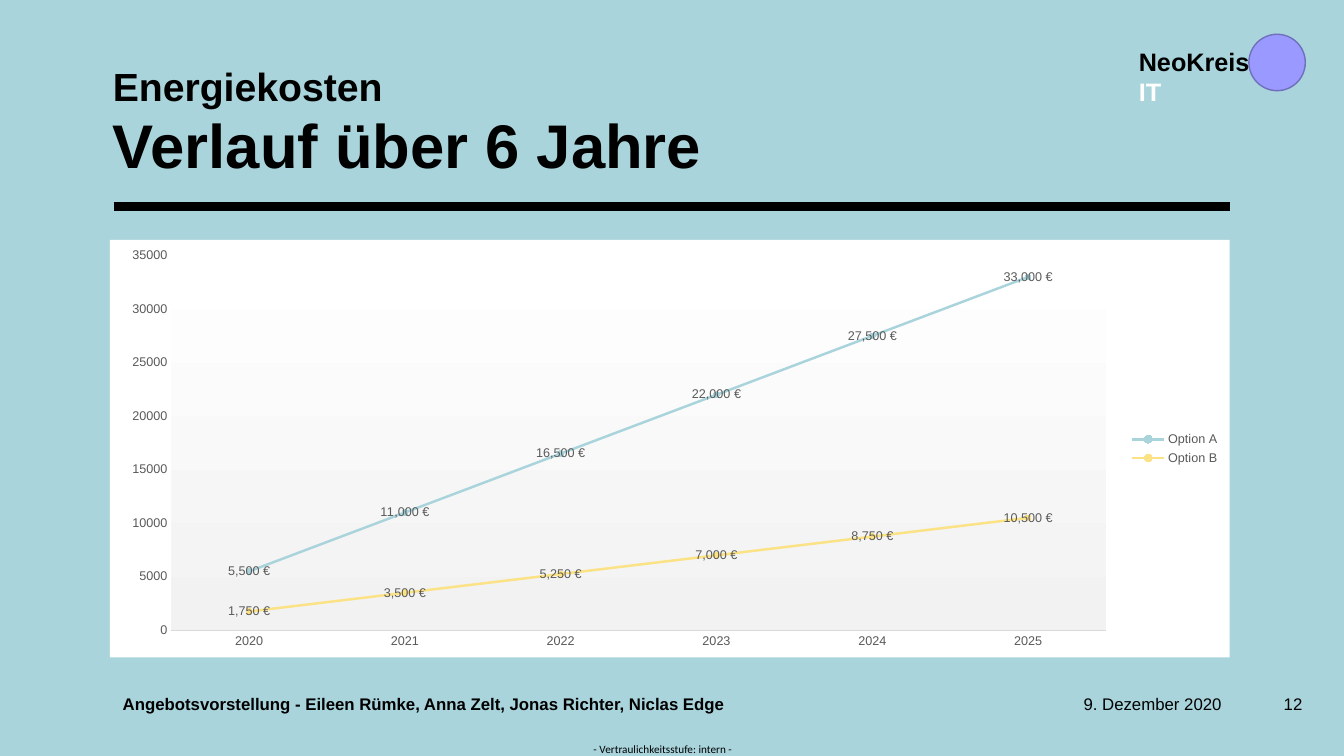
import pptx
import pptx.chart.data
import pptx.dml.color
import pptx.enum.chart
import pptx.enum.shapes
import pptx.enum.text
import pptx.oxml
import pptx.oxml.ns
import pptx.util

Pt = pptx.util.Pt
Align = pptx.enum.text.PP_ALIGN
Anchor = pptx.enum.text.MSO_ANCHOR

BLACK, WHITE, GREY = "000000", "FFFFFF", "595959"
BACKGROUND, PANEL = "A9D4DC", "A9D4DB"
BREAK = "\n"

TITLE = [("Energiekosten", {"size": 28}), (" ", {"size": 44}), BREAK,
         ("Verlauf über 6 Jahre", {"size": 44})]
DEFAULT_INSETS = (7.2, 3.6, 7.2, 3.6)
FOOTER_TOP, FOOTER_HEIGHT = 495.4, 14.4

# spans, (left, top, width, height), insets, anchor, alignment
TEXTS = [
    ([("- Vertraulichkeitsstufe: intern - ", {"size": 8, "name": "Calibri"})],
     (422.6, 530.6, 103.7, 9.4), (0, 0, 0, 0), Anchor.TOP, Align.CENTER),
    ([("9. Dezember 2020", {"size": 12})],
     (774, FOOTER_TOP, 120.2, FOOTER_HEIGHT), (0, 3.6, 0, 3.6), Anchor.MIDDLE, Align.LEFT),
    ([("Angebotsvorstellung - Eileen Rümke, Anna Zelt, Jonas Richter, Niclas Edge",
       {"size": 12, "bold": True})],
     (80.6, FOOTER_TOP, 687.6, FOOTER_HEIGHT), DEFAULT_INSETS, Anchor.MIDDLE, Align.LEFT),
    ([("12", {"size": 12})],
     (905, FOOTER_TOP, 32.4, FOOTER_HEIGHT), DEFAULT_INSETS, Anchor.MIDDLE, Align.RIGHT),
    ([("NeoKreis", {"size": 18, "bold": True}), BREAK,
      ("IT", {"size": 18, "bold": True, "color": WHITE})],
     (806.4, 29.5, 113, 28.8), DEFAULT_INSETS, Anchor.TOP, Align.LEFT),
]

YEARS = ["2020", "2021", "2022", "2023", "2024", "2025"]
OPTIONS = [
    ("Option A", "A9D4DB", [5500, 11000, 16500, 22000, 27500, 33000]),
    ("Option B", "FBE284", [1750, 3500, 5250, 7000, 8750, 10500]),
]
CHART_AREA = (78.5, 171.4, 799.9, 298.1)
EURO_FORMAT = '#,##0\\ "€"'


def rgb(value):
    return pptx.dml.color.RGBColor.from_string(value)


def points(values):
    return [Pt(value) for value in values]


def paint(fill, color):
    fill.solid()
    fill.fore_color.rgb = rgb(color)


def format_font(font, size, color=BLACK, name="Arial", bold=False):
    for key, value in {"size": Pt(size), "name": name, "bold": bold}.items():
        setattr(font, key, value)
    font.color.rgb = rgb(color)


def write(box, spans, insets, anchor, alignment):
    frame = box.text_frame
    left, top, right, bottom = points(insets)
    settings = {"word_wrap": True, "auto_size": pptx.enum.text.MSO_AUTO_SIZE.NONE,
                "vertical_anchor": anchor, "margin_left": left, "margin_top": top,
                "margin_right": right, "margin_bottom": bottom}
    for key, value in settings.items():
        setattr(frame, key, value)
    para = frame.paragraphs[0]
    para.alignment = alignment
    for item in spans:
        if item == BREAK:
            para.add_line_break()
        else:
            span = para.add_run()
            span.text = item[0]
            format_font(span.font, **item[1])
    return para


def add_plain_shape(page, kind, area, color):
    shape = page.shapes.add_shape(kind, *points(area))
    shape.shadow.inherit = False
    paint(shape.fill, color)
    shape.line.fill.background()
    return shape


def add_rule(page):
    rule = page.shapes.add_connector(pptx.enum.shapes.MSO_CONNECTOR.STRAIGHT,
                                     *points((81.4, 147.6, 878.4, 147.6)))
    rule.line.color.rgb = rgb(BLACK)
    rule.line.width = Pt(6)
    effects = pptx.oxml.parse_xml(f"<a:effectLst {pptx.oxml.ns.nsdecls('a')}/>")
    rule.element.spPr.append(effects)
    return rule


def area_properties(fill):
    return pptx.oxml.parse_xml(
        f"<c:spPr {pptx.oxml.ns.nsdecls('c', 'a')}>{fill}<a:ln><a:noFill/></a:ln></c:spPr>")


def fill_chart_areas(chart):
    """Give the chart a white ground and the plot a soft vertical gradient."""
    space = chart.element
    ground = f'<a:solidFill><a:srgbClr val="{WHITE}"/></a:solidFill>'
    space.find(pptx.oxml.ns.qn("c:txPr")).addprevious(area_properties(ground))
    stops = "".join(f'<a:gs pos="{place}"><a:srgbClr val="{color}"/></a:gs>'
                    for place, color in ((0, WHITE), (100000, "F2F2F2")))
    gradient = f'<a:gradFill><a:gsLst>{stops}</a:gsLst><a:lin ang="5400000" scaled="0"/></a:gradFill>'
    space.chart.plotArea.append(area_properties(gradient))


def add_cost_chart(page):
    data = pptx.chart.data.CategoryChartData()
    data.categories = YEARS
    for name, _, costs in OPTIONS:
        data.add_series(name, costs)
    chart = page.shapes.add_chart(pptx.enum.chart.XL_CHART_TYPE.LINE_MARKERS,
                                  *points(CHART_AREA), data).chart
    format_font(chart.font, 10, GREY)
    chart.has_title = False
    chart.has_legend = True
    chart.legend.position = pptx.enum.chart.XL_LEGEND_POSITION.RIGHT
    chart.legend.include_in_layout = False
    format_font(chart.legend.font, 9, GREY)
    for axis in (chart.category_axis, chart.value_axis):
        axis.has_major_gridlines = False
        axis.major_tick_mark = axis.minor_tick_mark = pptx.enum.chart.XL_TICK_MARK.NONE
        format_font(axis.tick_labels.font, 9, GREY)
    chart.category_axis.format.line.color.rgb = rgb("D9D9D9")
    chart.category_axis.format.line.width = Pt(0.75)
    chart.value_axis.format.line.fill.background()
    chart.plots[0].vary_by_categories = False
    for series, (_, color, _) in zip(chart.plots[0].series, OPTIONS):
        series.smooth = False
        series.format.line.color.rgb = rgb(color)
        series.format.line.width = Pt(1.75)
        series.marker.style = pptx.enum.chart.XL_MARKER_STYLE.CIRCLE
        series.marker.size = 4
        paint(series.marker.format.fill, color)
        series.marker.format.line.color.rgb = rgb(color)
        labels = series.data_labels
        format_font(labels.font, 9, GREY)
        settings = {"show_value": True, "number_format": EURO_FORMAT,
                    "number_format_is_linked": False,
                    "position": pptx.enum.chart.XL_LABEL_POSITION.CENTER}
        for key, value in settings.items():
            setattr(labels, key, value)
    fill_chart_areas(chart)


def main():
    deck = pptx.Presentation()
    deck.slide_width, deck.slide_height = points((960, 540))
    page = deck.slides.add_slide(deck.slide_layouts[5])
    paint(page.background.fill, BACKGROUND)

    shapes = pptx.enum.shapes.MSO_SHAPE
    add_plain_shape(page, shapes.RECTANGLE, (0, -0.7, 878.4, 458.6), PANEL)
    rule = add_rule(page)

    title = page.shapes.title
    title.left, title.top, title.width, title.height = points((80.6, 30.2, 614.9, 99.4))
    spans = [item if item == BREAK else (item[0], {**item[1], "bold": True}) for item in TITLE]
    write(title, spans, (0, 0, 0, 0), Anchor.BOTTOM, Align.LEFT).line_spacing = 0.9
    rule.element.addnext(title.element)

    circle = add_plain_shape(page, shapes.OVAL, (892.1, 24.5, 40.3, 40.3), "9999FF")
    circle.line.color.rgb = rgb("706FBB")
    circle.line.width = Pt(1)
    for spans, area, insets, anchor, alignment in TEXTS:
        write(page.shapes.add_textbox(*points(area)), spans, insets, anchor, alignment)
    add_cost_chart(page)
    deck.save("out.pptx")


if __name__ == "__main__":
    main()
